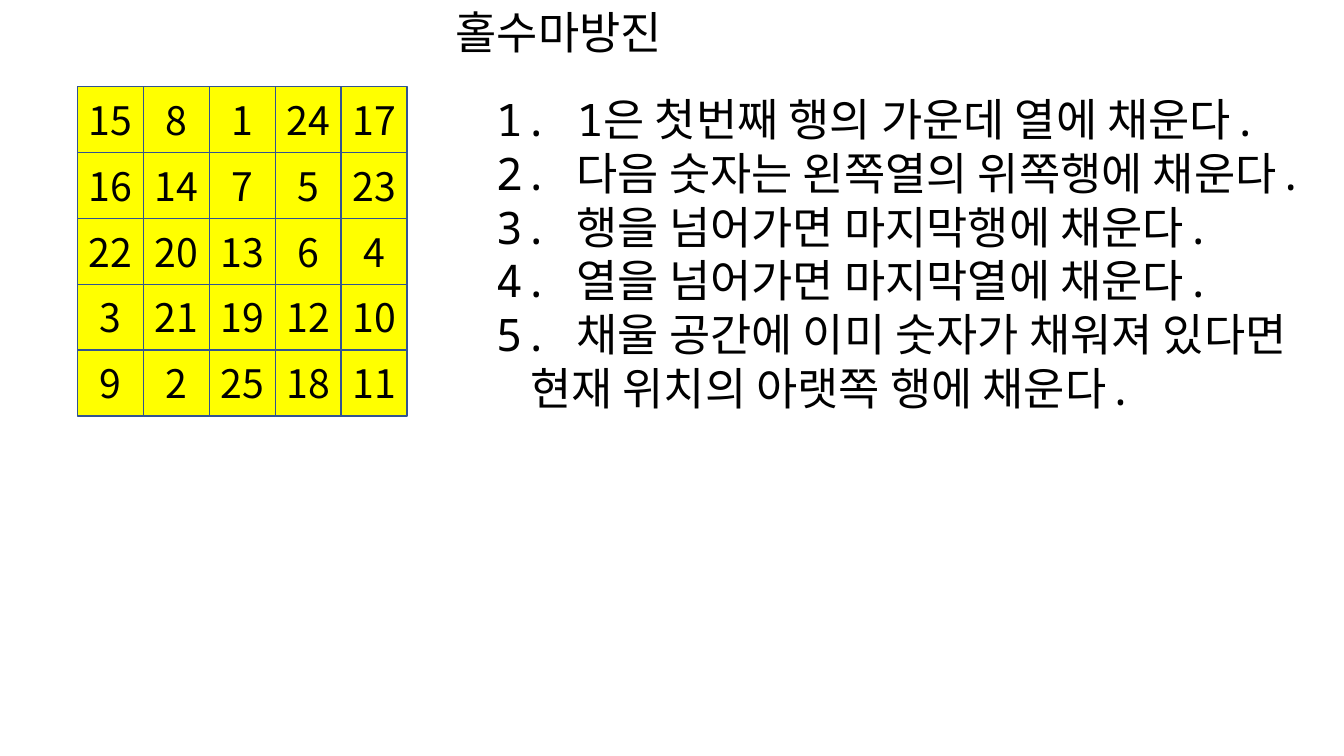
from dataclasses import dataclass
from lxml.etree import SubElement
from pptx import Presentation
from pptx.dml.color import RGBColor as RGB
from pptx.enum.shapes import MSO_SHAPE as Shape
from pptx.enum.text import MSO_ANCHOR as Anchor, MSO_AUTO_SIZE as Auto, PP_ALIGN as Align
from pptx.oxml.ns import qn
from pptx.util import Inches, Pt


@dataclass(frozen=True)
class Theme:
    ink: RGB = RGB(0, 0, 0)
    fill: RGB = RGB(0xFF, 0xFF, 0)
    edge: RGB = RGB(0x32, 0x54, 0x91)
    sans: str = "Noto Sans CJK KR"
    mono: str = "Noto Sans Mono"
    cell: int = 28
    text: int = 32


SIDE = 5
RULES = [
    "1. 1은 첫번째 행의 가운데 열에 채운다.",
    "2. 다음 숫자는 왼쪽열의 위쪽행에 채운다.",
    "3. 행을 넘어가면 마지막행에 채운다.",
    "4. 열을 넘어가면 마지막열에 채운다.",
    "5. 채울 공간에 이미 숫자가 채워져 있다면",
]
REST = "현재 위치의 아랫쪽 행에 채운다."


def magic(side):
    """Fill an odd square by the rules the slide lists."""
    grid = {}
    row, col = 0, side // 2
    for num in range(1, side * side + 1):
        grid[row, col] = num
        step = (row - 1) % side, (col - 1) % side
        row, col = ((row + 1) % side, col) if step in grid else step
    return grid


class Deck:
    """Holds the theme and slide; lengths are on a 100 by 100 grid."""

    def __init__(self, theme):
        self.theme = theme
        self.prs = Presentation()
        self.prs.slide_width = Inches(13.33)
        self.prs.slide_height = Inches(7.5)
        self.slide = self.prs.slides.add_slide(self.prs.slide_layouts[1])

    def area(self, col, row, wide, high):
        x, y = self.prs.slide_width / 100, self.prs.slide_height / 100
        return [round(n) for n in (col * x, row * y, wide * x, high * y)]

    def run(self, para, text, size, face):
        run = para.add_run()
        run.text = text
        font = run.font
        font.size, font.name = Pt(size), face
        font.color.rgb = self.theme.ink
        SubElement(font._element, qn("a:ea")).set("typeface", self.theme.sans)

    def cell(self, text, *area):
        box = self.slide.shapes.add_shape(Shape.RECTANGLE, *self.area(*area))
        box.shadow.inherit = False
        box.fill.solid()
        box.fill.fore_color.rgb = self.theme.fill
        box.line.color.rgb = self.theme.edge
        box.line.width = Pt(1)
        frame = box.text_frame
        frame.vertical_anchor = Anchor.MIDDLE
        frame.margin_left = frame.margin_right = 0
        para = frame.paragraphs[0]
        para.alignment = Align.CENTER
        self.run(para, text, self.theme.cell, self.theme.sans)

    def fill(self, box, lines, *area):
        """Move a placeholder and write (text, indent) lines in it."""
        box.left, box.top, box.width, box.height = self.area(*area)
        frame = box.text_frame
        frame.word_wrap = False
        frame.auto_size = Auto.SHAPE_TO_FIT_TEXT
        frame.vertical_anchor = Anchor.TOP
        for i, (text, indent) in enumerate(lines):
            para = frame.add_paragraph() if i else frame.paragraphs[0]
            props = para._p.get_or_add_pPr()
            props.set("marL", str(Inches(indent)))
            props.set("indent", "0")
            SubElement(props, qn("a:buNone"))
            para.alignment = Align.LEFT
            para.space_before = Pt(0)
            self.run(para, text, self.theme.text, self.theme.mono)

    def title(self, text, *area):
        self.fill(self.slide.shapes.title, [(text, 0)], *area)

    def body(self, lines, *area):
        self.fill(self.slide.placeholders[1], lines, *area)


def main():
    deck = Deck(Theme())
    wide, high = 4.9, 8.71
    for (row, col), num in sorted(magic(SIDE).items()):
        deck.cell(str(num), 5.78 + col * wide, 11.47 + row * high, wide, high)
    deck.title("홀수마방진", 33.15, 0, 18.38, 8.53)
    lines = [(rule, 0) for rule in RULES] + [(REST, 0.34)]
    deck.body(lines, 36.15, 11.47, 70.2, 44.4)
    deck.prs.save("out.pptx")


if __name__ == "__main__":
    main()
